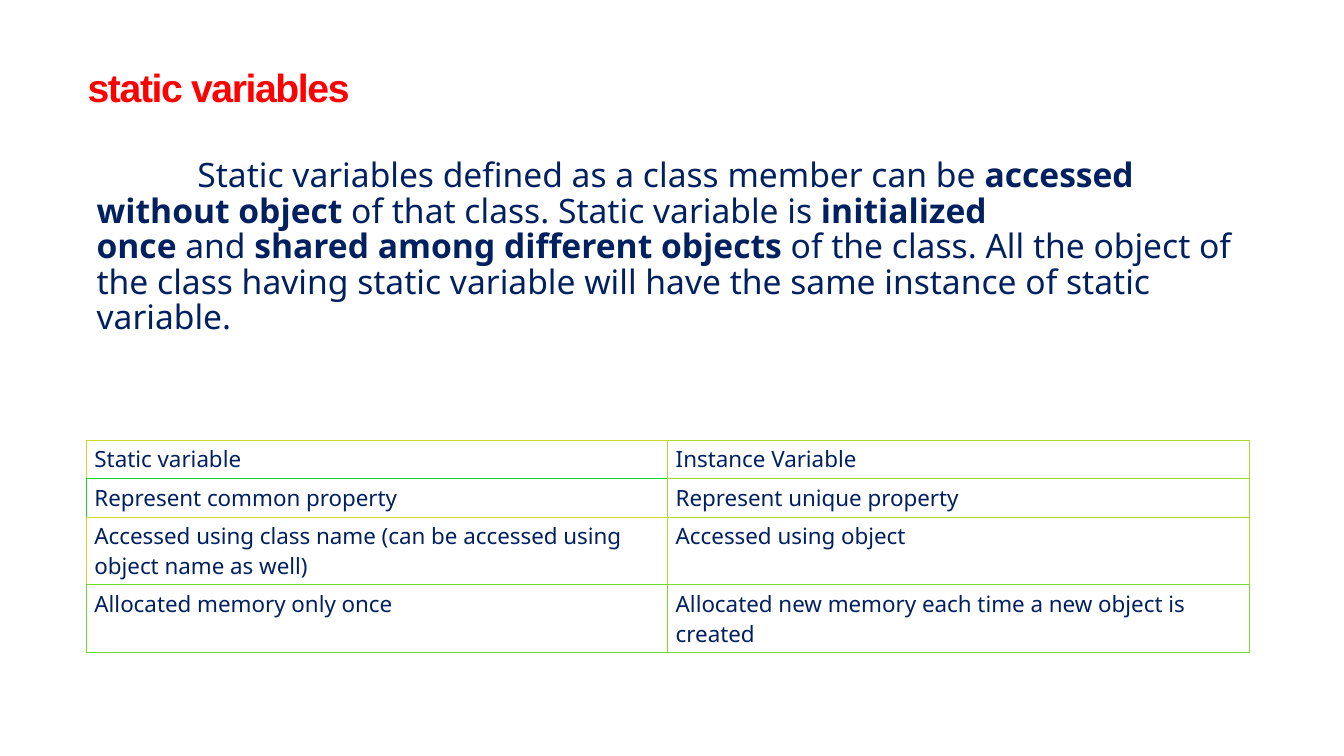
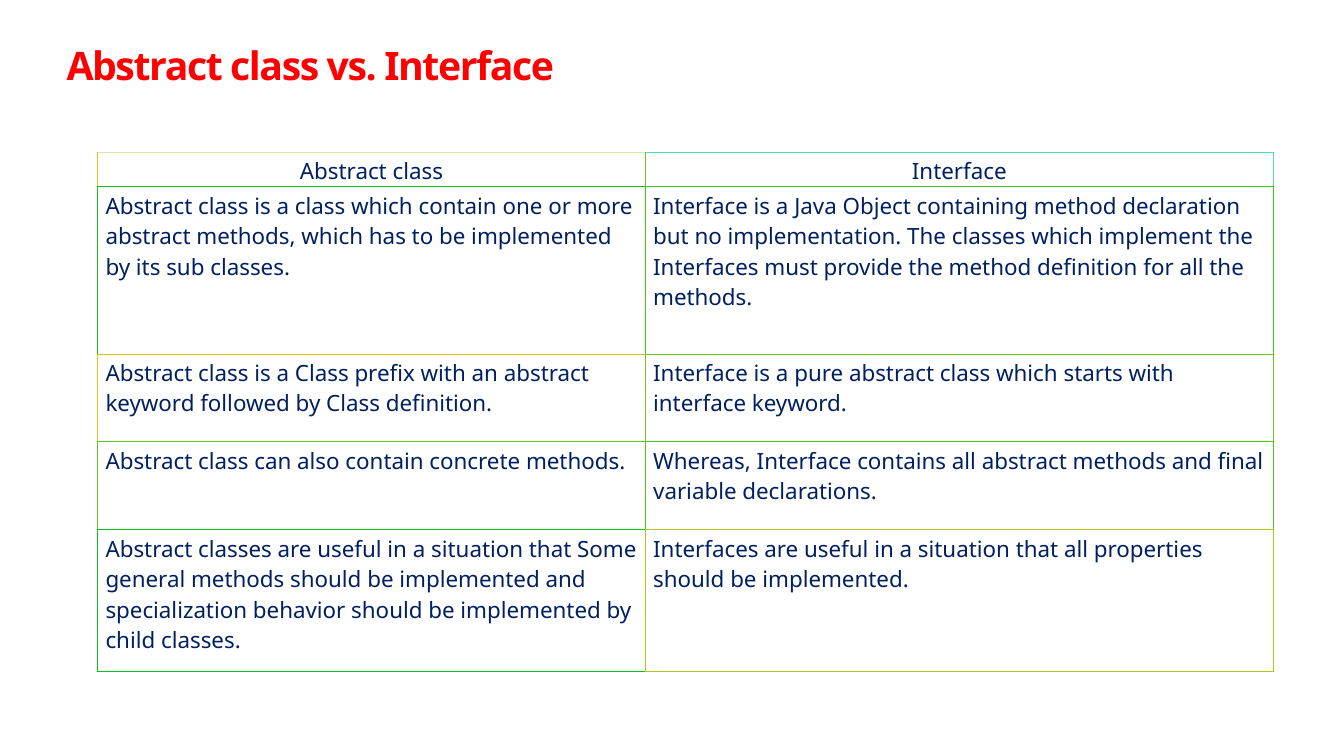
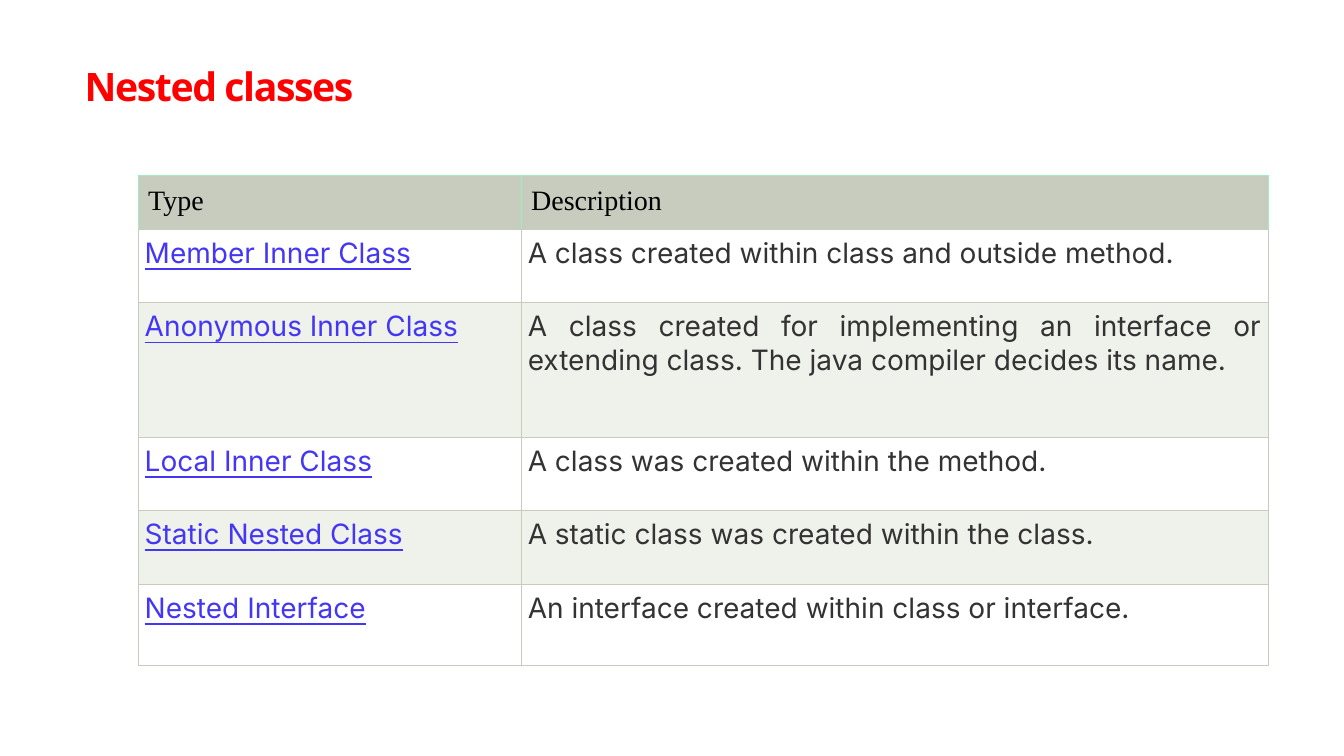
from lxml import etree
from pptx import Presentation
from pptx.dml.color import RGBColor
from pptx.enum.text import MSO_ANCHOR, MSO_AUTO_SIZE, PP_ALIGN
from pptx.oxml.ns import qn
from pptx.util import Pt

LEFT, MID, JUST = PP_ALIGN.LEFT, PP_ALIGN.CENTER, PP_ALIGN.JUSTIFY
BASE = MSO_ANCHOR.BOTTOM
GROW = MSO_AUTO_SIZE.SHAPE_TO_FIT_TEXT
RED, NAVY, WHITE, BLACK = "FF0000", "002060", "FFFFFF", "000000"
LINK, GREY, SAGE, PALE, MINT = "4336F4", "333333", "C7CCBE", "EFF1EB", "A0EEC0"
SANS = "Noto Sans"
NBSP = chr(160)


def color(code):
    return RGBColor.from_string(code)


def style(para, size, face, ink, bold=None, line=None, align=LEFT):
    para.alignment = align
    font = para.font
    font.size, font.name = Pt(size), face
    font.bold, font.underline = bold, line
    font.color.rgb = color(ink)


def add_page(deck, text, x, y, high, face=SANS):
    slide = deck.slides.add_slide(deck.slide_layouts[5])
    title = slide.shapes.title
    title.left, title.top, title.width, title.height = Pt(x), Pt(y), Pt(793.4), Pt(high)
    frame = title.text_frame
    frame.margin_left = frame.margin_right = frame.margin_top = frame.margin_bottom = 0
    frame.vertical_anchor = BASE
    frame.word_wrap = True
    frame.auto_size = GROW
    para = frame.paragraphs[0]
    run = para.add_run()
    run.text = text
    run._r.get_or_add_rPr().set("spc", "-100")
    style(para, 28, face, RED, bold=True)
    return slide


def add_body(slide, x, y, wide, high, parts):
    frame = slide.shapes.add_textbox(Pt(x), Pt(y), Pt(wide), Pt(high)).text_frame
    frame.word_wrap = True
    frame.auto_size = GROW
    para = frame.paragraphs[0]
    para._p.get_or_add_pPr().set("indent", str(Pt(72)))
    para.line_spacing = 0.88
    style(para, 24, SANS, NAVY)
    for i, part in enumerate(parts):
        run = para.add_run()
        if i % 2:
            run.text = part
            run.font.bold = True
        else:
            run.text = (NBSP if i else "") + part + (NBSP if i < len(parts) - 1 else "")


def add_edge(cell, side, code, wide):
    line = etree.SubElement(cell._tc.get_or_add_tcPr(), qn("a:ln" + side), w=str(Pt(wide)))
    fill = etree.SubElement(line, qn("a:solidFill"))
    etree.SubElement(fill, qn("a:srgbClr"), val=code)


def add_grid(slide, x, y, cols, highs, rows, tints, dress, wide=0.75, tops=None):
    shape = slide.shapes.add_table(len(rows), len(cols), Pt(x), Pt(y), Pt(sum(cols)), Pt(sum(highs)))
    table = shape.table
    table.first_row = table.horz_banding = False
    for col, size in zip(table.columns, cols):
        col.width = Pt(size)
    for row, size in zip(table.rows, highs):
        row.height = Pt(size)
    for r, texts in enumerate(rows):
        for c, text in enumerate(texts):
            cell = table.cell(r, c)
            own = tints[r][c]
            top = tops[c] if tops and r == 0 else own
            last = c == len(cols) - 1
            right = top if last else tints[r][c + 1]
            below = tints[r + 1][c] if r < len(rows) - 1 else own
            for side, code in zip("LRTB", (own, right, top, below)):
                add_edge(cell, side, code, wide)
            cell.text = text
            dress(cell, r, c)


def pad(cell, side, top, base):
    cell.margin_left = cell.margin_right = Pt(side)
    cell.margin_top, cell.margin_bottom = Pt(top), Pt(base)


def paint(cell, code):
    cell.fill.solid()
    cell.fill.fore_color.rgb = color(code)


def plain(cell, r, c):
    pad(cell, 5.6, 2.6, 2.6)
    paint(cell, WHITE)
    style(cell.text_frame.paragraphs[0], 16, SANS, NAVY)


def headed(cell, r, c):
    plain(cell, r, c)
    if r == 0:
        cell.margin_bottom = 0
        cell.text_frame.paragraphs[0].alignment = MID


def banded(cell, r, c):
    para = cell.text_frame.paragraphs[0]
    if r == 0:
        pad(cell, 7.2, 7.2, 7.2)
        paint(cell, SAGE)
        style(para, 20, "Times New Roman", BLACK)
    else:
        pad(cell, 4.8, 4.8, 4.8)
        paint(cell, WHITE if r % 2 else PALE)
        style(para, 20, "Inter", GREY if c else LINK, line=c == 0, align=JUST)


def add_static(deck):
    slide = add_page(deck, "static variables", 62.6, 43.9, 34.6, "Arial")
    add_body(slide, 61.9, 110.2, 836.6, 152.6, [
        "Static variables defined as a class member can be",
        "accessed without object",
        "of that class. Static variable is",
        "initialized once",
        "and",
        "shared among different objects",
        "of the class. All the object of the class having static variable "
        "will have the same instance of static variable.",
    ])
    rows = [
        ("Static variable", "Instance Variable"),
        ("Represent common property", "Represent unique property"),
        ("Accessed using class name (can be accessed using object name as well)",
         "Accessed using object"),
        ("Allocated memory only once",
         "Allocated new memory each time a new object is created"),
    ]
    tints = [("D0D827", "B0D827"), ("10D827", "A0D827"),
             ("D0D827", "B0D827"), ("70D827", "80D827")]
    add_grid(slide, 61.9, 314.6, [415.2] * 2, [27.4, 27.4, 48.3, 48.3], rows, tints, plain)


def add_versus(deck):
    slide = add_page(deck, "Abstract class vs. Interface", 47.5, 25.2, 38.2)
    rows = [
        ("Abstract class", "Interface"),
        ("Abstract class is a class which contain one or more abstract methods, "
         "which has to be implemented by its sub classes.",
         "Interface is a Java Object containing method declaration but no implementation. "
         "The classes which implement the Interfaces must provide the method definition "
         "for all the methods."),
        ("Abstract class is a Class prefix with an abstract keyword followed by Class definition.",
         "Interface is a pure abstract class which starts with interface keyword."),
        ("Abstract class can also contain concrete methods.",
         "Whereas, Interface contains all abstract methods and final variable declarations."),
        ("Abstract classes are useful in a situation that Some general methods should be "
         "implemented and specialization behavior should be implemented by child classes.",
         "Interfaces are useful in a situation that all properties should be implemented."),
    ]
    tints = [("E0C518", "70C718"), ("10C718", "40C718"), ("E0C518", "70C718"),
             ("60C718", "50C718"), ("00C618", "B0C618")]
    add_grid(slide, 69.8, 108.7, [391.2, 448.6], [24.8, 119.4, 62.8, 62.8, 100.8],
             rows, tints, headed, tops=("E0E0A9", "48E1A9"))


def add_nested(deck):
    slide = add_page(deck, "Nested classes", 60.5, 39.6, 38.2)
    rows = [
        ("Type", "Description"),
        ("Member Inner Class", "A class created within class and outside method."),
        ("Anonymous Inner Class",
         "A class created for implementing an interface or extending class. "
         "The java compiler decides its name."),
        ("Local Inner Class", "A class was created within the method."),
        ("Static Nested Class", "A static class was created within the class."),
        ("Nested Interface", "An interface created within class or interface."),
    ]
    tints = [(MINT, MINT)] + [(SAGE, SAGE)] * 5
    add_grid(slide, 98.6, 125.3, [273.6, 533.5], [38.5, 52.5, 96, 52.5, 52.5, 58],
             rows, tints, banded, wide=0.6)


def main():
    deck = Presentation()
    deck.slide_width, deck.slide_height = Pt(960), Pt(540)
    for build in (add_static, add_versus, add_nested):
        build(deck)
    deck.save("out.pptx")


if __name__ == "__main__":
    main()
